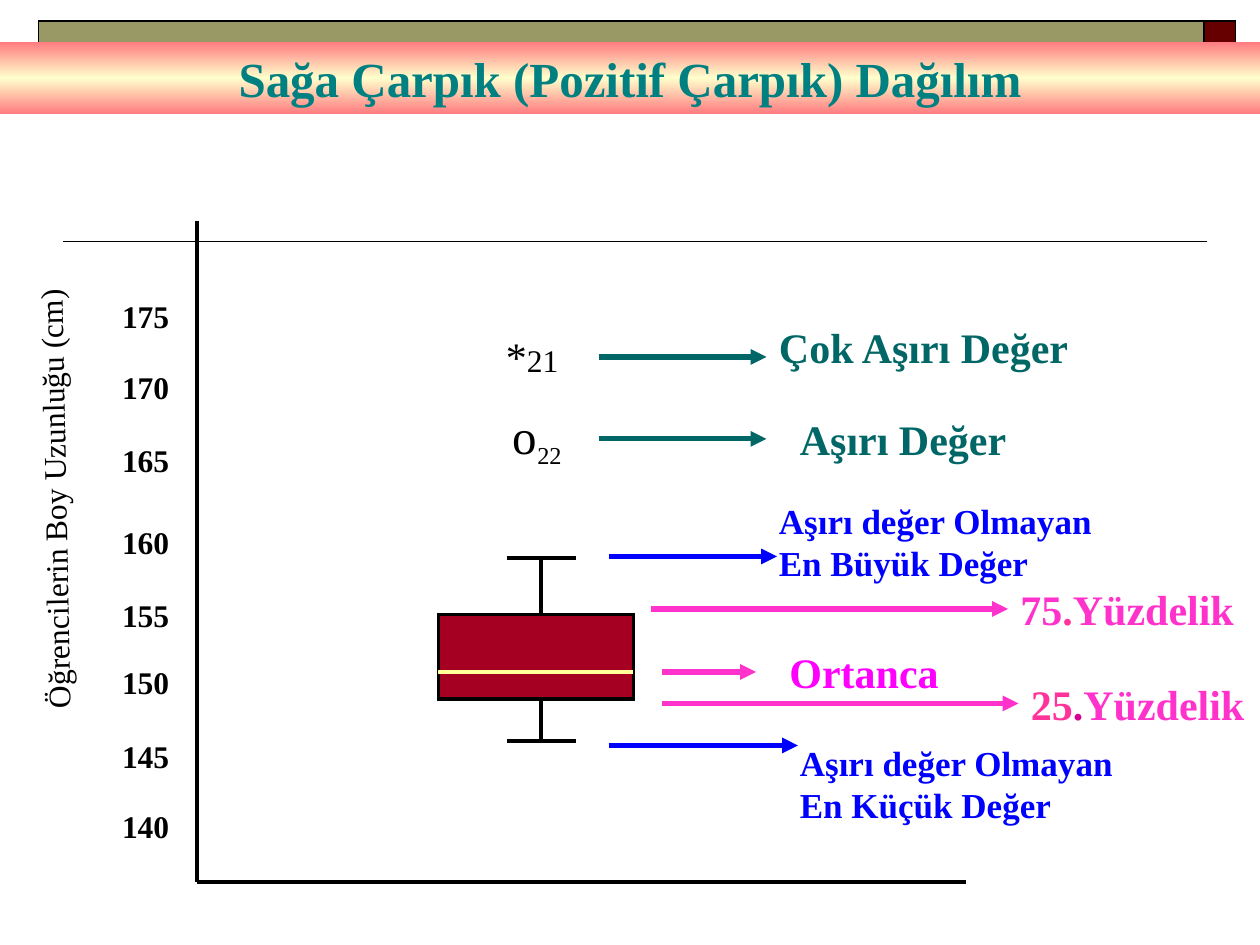
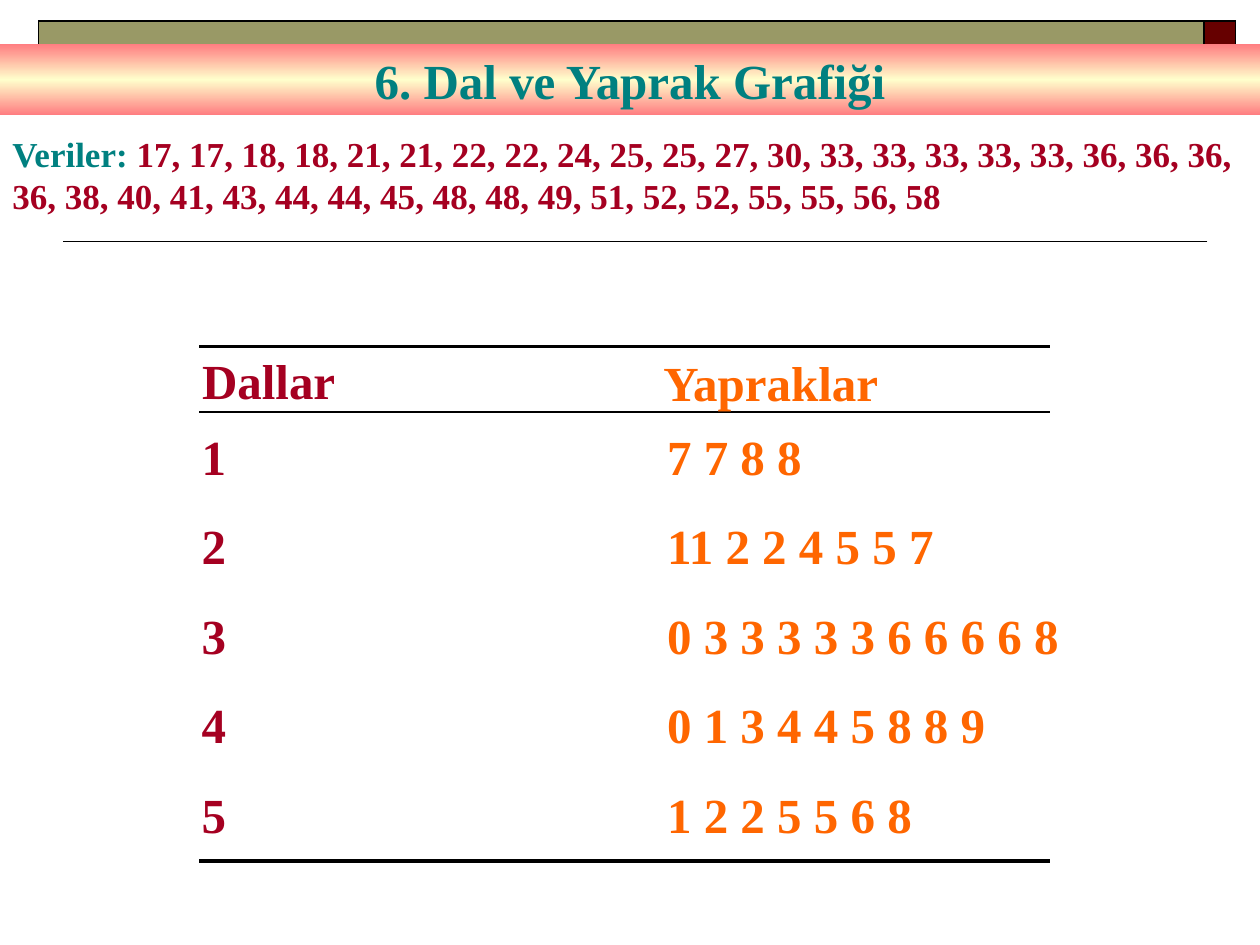
from copy import deepcopy
from dataclasses import dataclass

from lxml import etree
from pptx import Presentation
from pptx.dml.color import RGBColor
from pptx.enum.shapes import MSO_CONNECTOR as CONN, MSO_SHAPE as SHAPE
from pptx.enum.text import MSO_ANCHOR as ANCHOR, MSO_AUTO_SIZE as AUTO, PP_ALIGN as ALIGN
from pptx.oxml.ns import qn
from pptx.util import Pt


@dataclass(frozen=True)
class Theme:
    """Colours, font and type sizes of the deck."""
    font: str = "Times New Roman"
    black: str = "000000"
    olive: str = "999966"
    maroon: str = "660000"
    crimson: str = "A50021"
    cream: str = "FFFF99"
    title: str = "008080"
    green: str = "006666"
    blue: str = "0000FF"
    pink: str = "FF33CC"
    rose: str = "FF3399"
    plum: str = "D60093"
    magenta: str = "FF00FF"
    orange: str = "FF6600"
    gradient: tuple = ((0, "FF7C80"), (0.5, "FFFFCC"), (1, "FF7C80"))
    heading: int = 28
    label: int = 24
    note: int = 20
    axis: int = 18
    hair: float = 1
    rule: float = 2
    arrow: float = 3


T = Theme()
rgb = RGBColor.from_string


def add_runs(p, runs, size, bold=True):
    """Fill a paragraph with (text, colour[, size]) runs."""
    for text, color, *own in runs:
        r = p.add_run()
        r.text = text
        r.font.name, r.font.bold = T.font, bold
        r.font.size = Pt(own[0] if own else size)
        r.font.color.rgb = rgb(color)


def place(sp, x, y, w, h):
    """Move and size a shape, in points."""
    sp.left, sp.top, sp.width, sp.height = Pt(x), Pt(y), Pt(w), Pt(h)


def set_frame(tf, wrap=True, inset=(7.2, 3.6)):
    """Give a text frame top anchoring, a fixed size and insets."""
    tf.word_wrap, tf.auto_size, tf.vertical_anchor = wrap, AUTO.NONE, ANCHOR.TOP
    tf.margin_left = tf.margin_right = Pt(inset[0])
    tf.margin_top = tf.margin_bottom = Pt(inset[1])


def add_text(slide, box, runs, size, bold=True, align=ALIGN.LEFT, **frame):
    """Add a one-paragraph text box."""
    sp = slide.shapes.add_textbox(*map(Pt, box))
    set_frame(sp.text_frame, **frame)
    p = sp.text_frame.paragraphs[0]
    p.alignment = align
    add_runs(p, runs, size, bold)
    return sp


def add_line(slide, x1, y1, x2, y2, color=T.black, width=T.rule, arrow=False):
    """Add a straight line, with an arrowhead at its end if wanted."""
    line = slide.shapes.add_connector(CONN.STRAIGHT, Pt(x1), Pt(y1), Pt(x2), Pt(y2))
    line.line.color.rgb, line.line.width = rgb(color), Pt(width)
    if arrow:
        etree.SubElement(line.line._get_or_add_ln(), qn("a:tailEnd"), type="triangle")
    etree.SubElement(line.element.spPr, qn("a:effectLst"))
    return line


def add_rect(slide, box, color, width):
    """Add a filled rectangle with a black, sharp-cornered outline."""
    sp = slide.shapes.add_shape(SHAPE.RECTANGLE, *map(Pt, box))
    sp.shadow.inherit = False
    sp.fill.solid()
    sp.fill.fore_color.rgb = rgb(color)
    sp.line.color.rgb, sp.line.width = rgb(T.black), Pt(width)
    etree.SubElement(sp.line._get_or_add_ln(), qn("a:miter"), lim="800000")
    return sp


def add_master_bands(prs, slide):
    """Build the header bands and the rule, then move them to the master."""
    parts = [add_line(slide, 690, 138, 36, 138, width=T.hair)]
    for y, h, colors in ((12, 18, (T.olive, T.maroon)), (30, 11, (T.maroon, T.olive))):
        for (x, w), color in zip(((22, 666), (688, 18)), colors):
            parts.append(add_rect(slide, (x, y, w, h), color, T.hair))
    for number, part in enumerate(parts, 101):
        part.element.xpath(".//p:cNvPr")[0].set("id", str(number))
        prs.slide_master.shapes.element.append(part.element)


def set_title(slide, text, top):
    """Turn the title placeholder into the full-width gradient band."""
    sp = slide.shapes.title
    place(sp, 0, top, 720, 41)
    sp.fill.gradient()
    sp.fill.gradient_angle = 90
    stops = sp.element.find(".//" + qn("a:gsLst"))
    stops.insert(1, deepcopy(stops[0]))
    for stop, (position, color) in zip(sp.fill.gradient_stops, T.gradient):
        stop.position, stop.color.rgb = position, rgb(color)
    set_frame(sp.text_frame)
    p = sp.text_frame.paragraphs[0]
    p.alignment = ALIGN.CENTER
    add_runs(p, [(text, T.title)], T.heading)


def add_axes(slide):
    """Draw the height axis with its tick labels and name."""
    add_line(slide, 112.5, 126, 112.5, 504)
    add_line(slide, 112.5, 504, 552, 504)
    tops = (166.2, 206.5, 248.5, 295.2, 337, 375.2, 417.5, 457.8)
    for value, top in zip(range(175, 135, -5), tops):
        add_text(slide, (60, top, 46.5, 30), [(str(value), T.black)], T.axis,
                 align=ALIGN.CENTER, wrap=False)
    name = add_text(slide, (-89, 267, 247, 36), [("Öğrencilerin Boy Uzunluğu (cm)", T.black)],
                    T.axis, bold=False, align=ALIGN.CENTER, wrap=False)
    name.rotation = 268.9


def add_box_plot(slide):
    """Draw the box, median, whiskers and the two outliers."""
    left, top, width, height = 250.5, 351.3, 111.5, 48.3
    middle = 309.3
    add_rect(slide, (left, top, width, height), T.crimson, T.rule)
    add_line(slide, left, 384, left + width, 384, T.cream)
    for edge, end in ((top, 319), (top + height, 423.5)):
        add_line(slide, middle, end, middle, edge)
        add_line(slide, middle - 19.7, end, middle + 19.7, end)
    add_text(slide, (282, 185.3, 44, 36), [("*", T.black), ("21", T.black, T.axis)],
             T.label, bold=False, wrap=False)
    mild = add_text(slide, (286, 228, 42, 44), [("o", T.black, T.heading), ("22", T.black)],
                    T.label, bold=False, wrap=False)
    mild.text_frame.paragraphs[0].runs[1].font._element.set("baseline", "-25000")


def add_callouts(slide):
    """Add every arrow with the label it points to."""
    callouts = (  # arrow x1, x2, y, colour; label x, y, width, size, runs
        (342, 438, 204, T.green, 438, 180, 234, T.label, [("Çok Aşırı Değer", T.green)]),
        (342, 438, 250.8, T.green, 450, 232.5, 144, T.label, [("Aşırı Değer", T.green)]),
        (348, 444, 318, T.blue, 438, 282, 210, T.note,
         [("Aşırı değer Olmayan En Büyük Değer", T.blue)]),
        (372, 576, 348, T.pink, 576, 330, 138, T.label,
         [("75", T.pink), (".", T.rose), ("Yüzdelik", T.pink)]),
        (378, 432, 384, T.pink, 444, 366, 156, T.label, [("Ortanca", T.magenta)]),
        (378, 582, 402, T.pink, 582, 384, 138, T.label,
         [("25", T.rose), (".", T.plum), ("Yüzdelik", T.pink)]),
        (348, 456, 426, T.blue, 450, 420, 210, T.note,
         [("Aşırı değer Olmayan En Küçük Değer", T.blue)]),
    )
    for x1, x2, y, color, x, top, width, size, runs in callouts:
        add_line(slide, x1, y, x2, y, color, T.arrow, arrow=True)
        add_text(slide, (x, top, width, 36 if size == T.label else 55.5), runs, size)


def fill_list(sp, box, items, color):
    """Fill a content placeholder with an unbulleted list."""
    place(sp, *box)
    tf = sp.text_frame
    set_frame(tf)
    for i, item in enumerate(items):
        p = tf.add_paragraph() if i else tf.paragraphs[0]
        p.space_before = Pt(17.5)
        pPr = p._p.get_or_add_pPr()
        pPr.set("marL", "0")
        pPr.set("indent", "0")
        etree.SubElement(pPr, qn("a:buNone"))
        add_runs(p, [(item, color)], T.heading)


def add_stem_and_leaf(slide):
    """Lay out the stem and leaf columns under ruled headings."""
    for y, width in ((198, 2.25), (235.5, T.hair), (492, 2.25)):
        add_line(slide, 114, y, 600, y, width=width)
    add_text(slide, (114, 198.7, 230, 36.7), [("Dallar", T.crimson)], T.heading,
             inset=(1.5, 1.5))
    add_text(slide, (372, 198, 150, 41), [("Yapraklar", T.orange)], T.heading)

    leaves = ("7 7 8 8", "11 2 2 4 5 5 7", "0 3 3 3 3 3 6 6 6 6 8", "0 1 3 4 4 5 8 8 9",
              "1 2 2 5 5 6 8")
    stems = [str(n) for n in range(1, len(leaves) + 1)]
    fill_list(slide.placeholders[1], (108, 240, 266, 245.5), stems, T.crimson)
    fill_list(slide.placeholders[2], (374, 240, 274, 245.5), leaves, T.orange)


def build_box_plot_slide(prs):
    """Slide with the annotated box plot."""
    slide = prs.slides.add_slide(prs.slide_layouts[5])
    add_master_bands(prs, slide)
    set_title(slide, "Sağa Çarpık (Pozitif Çarpık) Dağılım", 24)
    add_box_plot(slide)
    add_callouts(slide)
    add_axes(slide)


def build_stem_slide(prs):
    """Slide with the data and its stem and leaf plot."""
    slide = prs.slides.add_slide(prs.slide_layouts[3])
    set_title(slide, "6. Dal ve Yaprak Grafiği", 25)
    data = ("17, 17, 18, 18, 21, 21, 22, 22, 24, 25, 25, 27, 30, 33, 33, 33, 33, 33, 36, 36, 36, "
            "36, 38, 40, 41, 43, 44, 44, 45, 48, 48, 49, 51, 52, 52, 55, 55, 56, 58")
    add_text(slide, (0, 72, 720, 55.5), [("Veriler: ", T.title), (data, T.crimson)], T.note)
    add_stem_and_leaf(slide)


def main():
    """Build and save the deck."""
    prs = Presentation()
    prs.slide_width, prs.slide_height = Pt(720), Pt(540)
    build_box_plot_slide(prs)
    build_stem_slide(prs)
    prs.save("out.pptx")


main()
